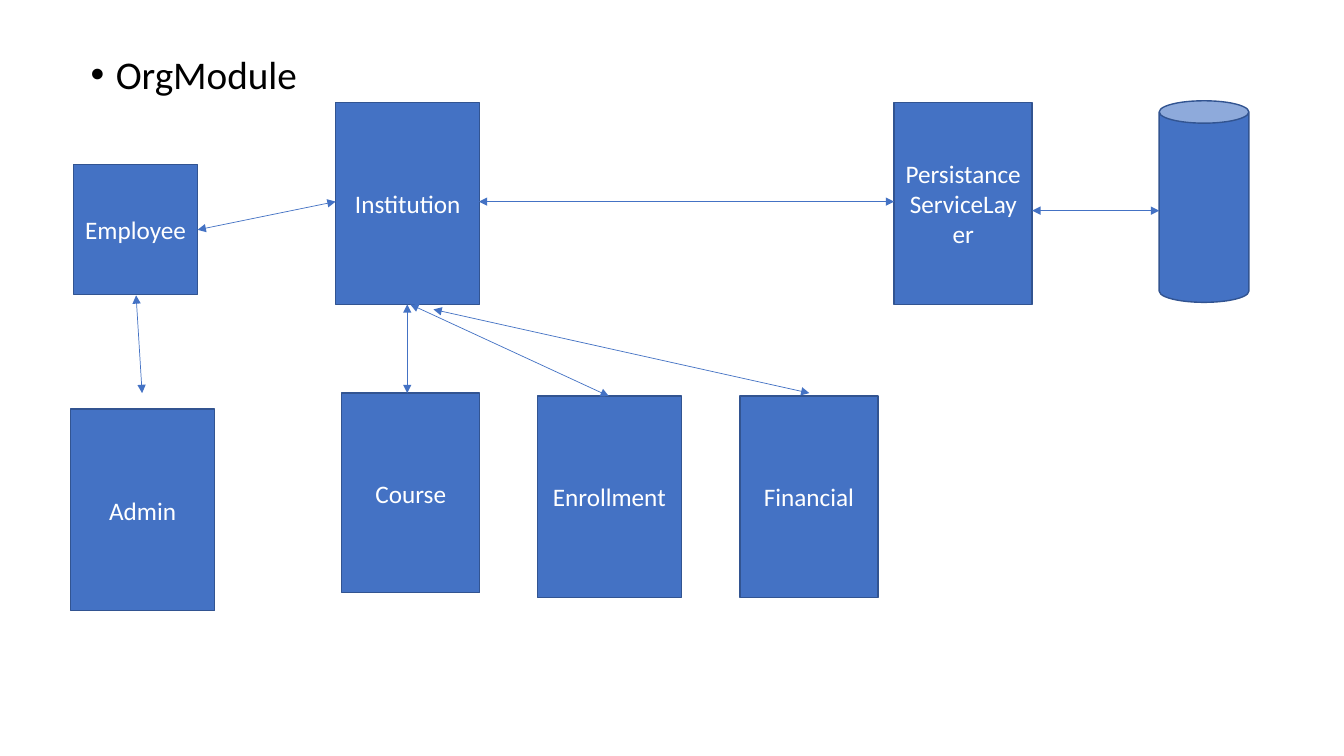
from lxml.etree import SubElement
from pptx import Presentation
from pptx.dml.color import RGBColor
from pptx.enum.shapes import MSO_CONNECTOR, MSO_SHAPE
from pptx.enum.text import MSO_ANCHOR, PP_ALIGN
from pptx.oxml.ns import qn
from pptx.util import Inches, Pt

COLORS = {"fill": "4472C4", "border": "325491", "label": "FFFFFF", "title": "000000"}
COLUMNS, ROWS = 133.33, 75  # grid cells of a tenth of an inch

# Name: left, top, width, height in grid cells
MODULES = {
    "Admin": (7, 40.6, 14.3, 20),
    "Institution": (33.3, 10.2, 14.3, 20),
    "Enrollment": (53.3, 39.3, 14.3, 20),
    "PersistanceServiceLayer": (88.7, 10.2, 13.7, 20),
    "Course": (33.9, 39, 13.7, 19.8),
    "Financial": (73.4, 39.3, 13.7, 20),
    "Employee": (7.3, 16.3, 12.3, 12.9),
}
DATABASE = (115, 10, 8.9, 20)

# Start and end of each two-way link in grid cells
LINKS = [
    ((102.4, 20.9), (115, 20.9)),    # persistance to database
    ((47.5, 20), (88.7, 20)),        # institution to persistance
    ((19.6, 22.8), (33.3, 20)),      # employee to institution
    ((40.4, 30.2), (40.4, 39)),      # institution to course
    ((40.7, 30.2), (60.4, 39.3)),    # institution to enrollment
    ((43, 30.7), (80.3, 39)),        # institution to financial
    ((13.5, 29.3), (14.1, 39)),      # employee to admin
]


class DiagramSlide:
    font = "Calibri"

    def __init__(self, deck):
        self.deck = deck
        self.slide = deck.slides.add_slide(deck.slide_layouts[6])

    def place(self, *lengths):
        """Turn alternating column and row counts into slide lengths."""
        cells = (self.deck.slide_width / COLUMNS, self.deck.slide_height / ROWS)
        return [round(length * cells[index % 2]) for index, length in enumerate(lengths)]

    def style(self, target, values):
        for name, value in values.items():
            setattr(target, name, value)

    def add_span(self, para, text, size, color):
        span = para.add_run()
        span.text = text
        self.style(span.font, {"name": self.font, "size": Pt(size)})
        span.font.color.rgb = RGBColor.from_string(COLORS[color])

    def bullet(self, text, area):
        box = self.slide.shapes.add_textbox(*self.place(*area))
        box.text_frame.word_wrap = True
        para = box.text_frame.paragraphs[0]
        self.style(para, {"line_spacing": 0.9, "space_before": Pt(10)})
        properties = para._p.get_or_add_pPr()
        for name, inches in {"marL": 0.25, "indent": -0.25}.items():
            properties.set(name, str(Inches(inches)))
        SubElement(properties, qn("a:buFont")).set("typeface", "Arial")
        SubElement(properties, qn("a:buChar")).set("char", "•")
        self.add_span(para, text, 28, "title")

    def block(self, kind, area, text=""):
        box = self.slide.shapes.add_shape(kind, *self.place(*area))
        box.shadow.inherit = False
        box.fill.solid()
        box.fill.fore_color.rgb = RGBColor.from_string(COLORS["fill"])
        box.line.color.rgb = RGBColor.from_string(COLORS["border"])
        box.line.width = Pt(1)
        if text:
            self.style(box.text_frame,
                       {"word_wrap": True, "vertical_anchor": MSO_ANCHOR.MIDDLE})
            para = box.text_frame.paragraphs[0]
            para.alignment = PP_ALIGN.CENTER
            self.add_span(para, text, 18, "label")

    def link(self, start, end):
        arrow = self.slide.shapes.add_connector(
            MSO_CONNECTOR.STRAIGHT, *self.place(*start, *end))
        arrow.line.color.rgb = RGBColor.from_string(COLORS["fill"])
        arrow.line.width = Pt(0.5)
        outline = arrow.line._get_or_add_ln()
        for tip in ("a:headEnd", "a:tailEnd"):
            SubElement(outline, qn(tip)).set("type", "triangle")
        SubElement(arrow._element.spPr, qn("a:effectLst"))


def main():
    deck = Presentation()
    deck.slide_width, deck.slide_height = Inches(13.33), Inches(7.5)
    page = DiagramSlide(deck)

    # Heading
    page.bullet("OrgModule", (8, 5, 116.2, 62.6))

    # Modules and database
    for name, area in MODULES.items():
        page.block(MSO_SHAPE.RECTANGLE, area, name)
    page.block(MSO_SHAPE.CAN, DATABASE)

    # Two-way links
    for start, end in LINKS:
        page.link(start, end)

    deck.save("out.pptx")


if __name__ == "__main__":
    main()
